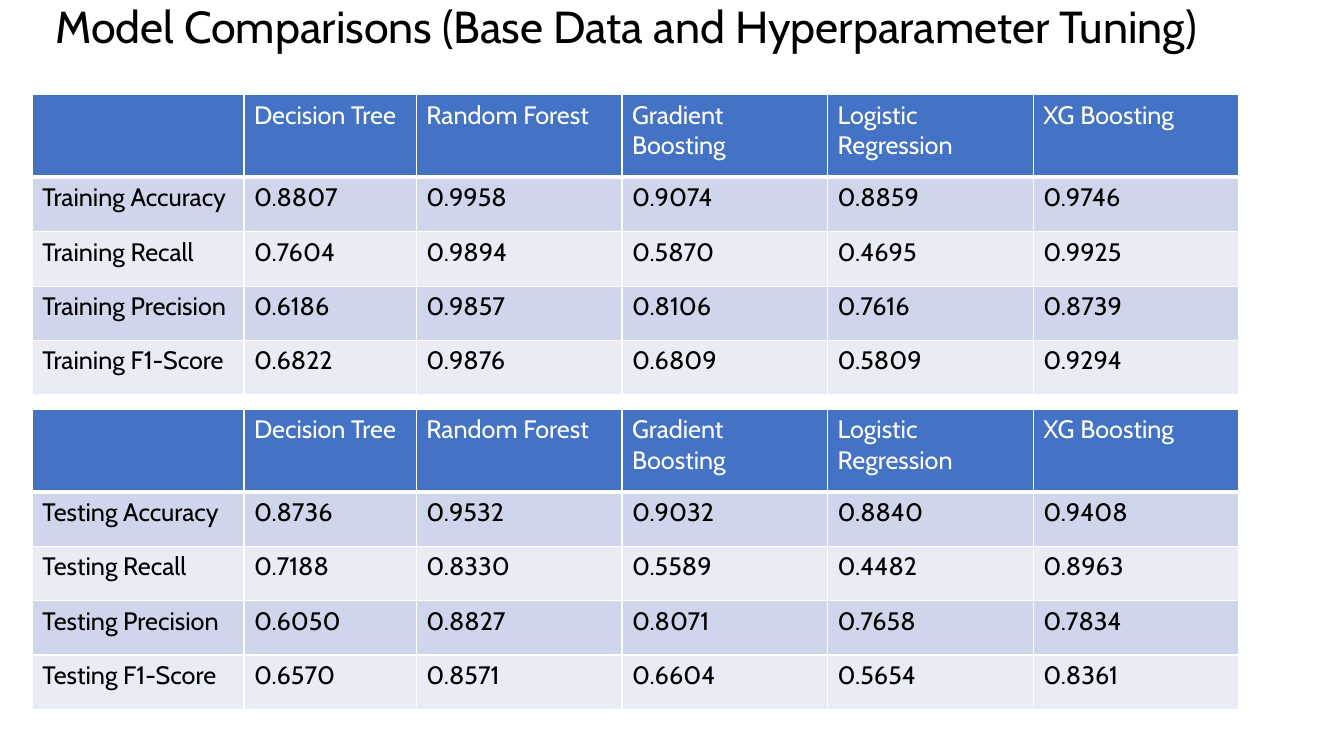
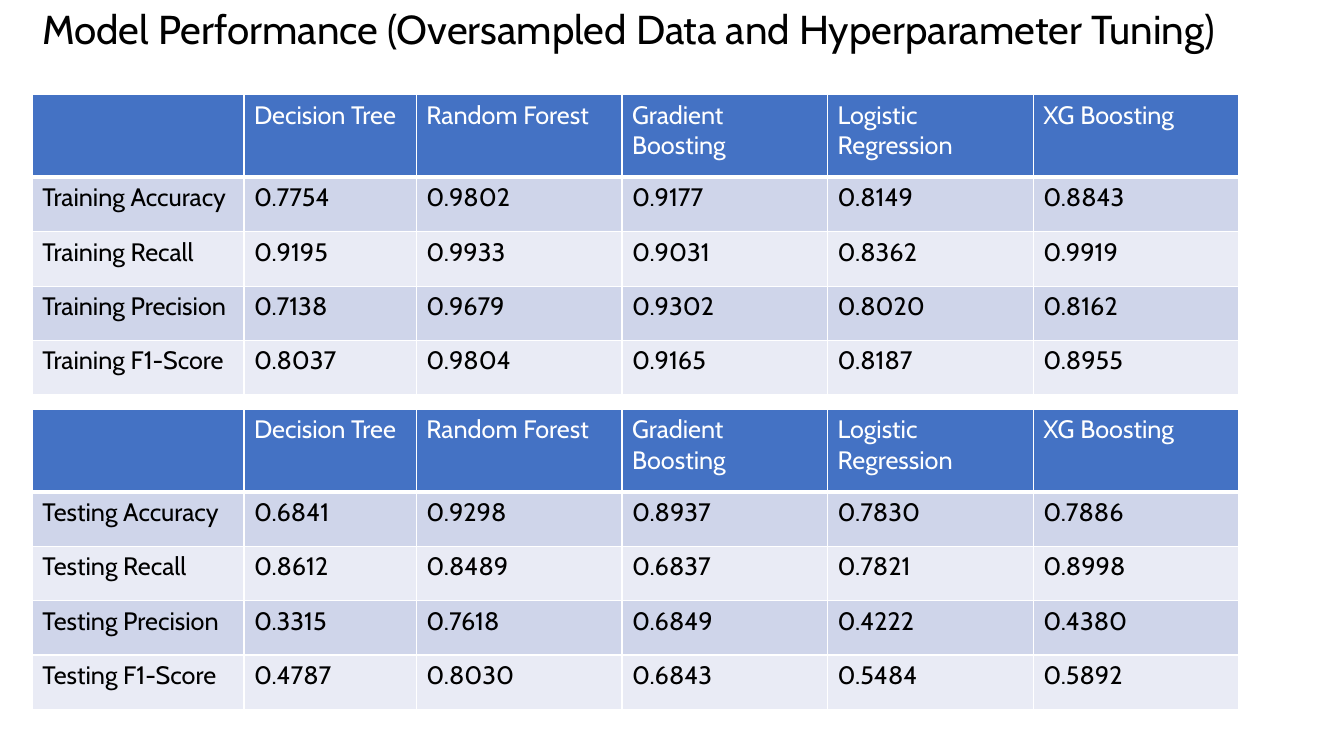
from pptx import Presentation
from pptx.dml.color import RGBColor
from pptx.enum.text import MSO_ANCHOR as Anchor
from pptx.oxml import parse_xml
from pptx.oxml.ns import nsdecls
from pptx.util import Inches, Pt

# Shared look
COLORS = {
    "header": "4472C4",
    "odd_row": "CFD5EA",
    "even_row": "E9EBF5",
    "white": "FFFFFF",
    "black": "000000",
}
FONT = "Cabin"
MODELS = ["Decision Tree", "Random Forest", "Gradient Boosting",
          "Logistic Regression", "XG Boosting"]
METRICS = ["Accuracy", "Recall", "Precision", "F1-Score"]

# Grid: one column and one row are a hundredth of the slide
presentation = Presentation()
presentation.slide_width = Inches(13.33)
presentation.slide_height = Inches(7.5)
COLUMN = presentation.slide_width / 100
ROW = presentation.slide_height / 100

TABLE_LEFT = 2.4
TABLE_TOPS = {"Training": 12.53, "Testing": 54.13}
COLUMN_WIDTHS = [15.75, 12.83] + [15.3] * 4
ROW_HEIGHTS = [10.93] + [7.2] * len(METRICS)

# Scores: one row per metric, one value per model
SLIDES = [
    {
        "title": "Model Comparisons (Base Data and Hyperparameter Tuning)",
        "size": 32, "left": 3.38, "width": 89.8, "height": 7.6,
        "Training": [
            "0.8807 0.9958 0.9074 0.8859 0.9746",
            "0.7604 0.9894 0.5870 0.4695 0.9925",
            "0.6186 0.9857 0.8106 0.7616 0.8739",
            "0.6822 0.9876 0.6809 0.5809 0.9294",
        ],
        "Testing": [
            "0.8736 0.9532 0.9032 0.8840 0.9408",
            "0.7188 0.8330 0.5589 0.4482 0.8963",
            "0.6050 0.8827 0.8071 0.7658 0.7834",
            "0.6570 0.8571 0.6604 0.5654 0.8361",
        ],
    },
    {
        "title": "Model Performance (Oversampled Data and Hyperparameter Tuning)",
        "size": 28.8, "left": 2.4, "width": 90.7, "height": 8.27,
        "Training": [
            "0.7754 0.9802 0.9177 0.8149 0.8843",
            "0.9195 0.9933 0.9031 0.8362 0.9919",
            "0.7138 0.9679 0.9302 0.8020 0.8162",
            "0.8037 0.9804 0.9165 0.8187 0.8955",
        ],
        "Testing": [
            "0.6841 0.9298 0.8937 0.7830 0.7886",
            "0.8612 0.8489 0.6837 0.7821 0.8998",
            "0.3315 0.7618 0.6849 0.4222 0.4380",
            "0.4787 0.8030 0.6843 0.5484 0.5892",
        ],
    },
]


def write_text(text_frame, text, size=18, color="black", line_spacing=None):
    paragraph = text_frame.paragraphs[0]
    paragraph.line_spacing = line_spacing
    run = paragraph.add_run()
    run.text = text
    run.font.name = FONT
    run.font.size = Pt(size)
    run.font.bold = False
    run.font.color.rgb = RGBColor.from_string(COLORS[color])


def add_borders(cell, top=1, bottom=1):
    properties = cell._tc.get_or_add_tcPr()
    for side, points in {"L": 1, "R": 1, "T": top, "B": bottom}.items():
        properties.append(parse_xml(
            f'<a:ln{side} {nsdecls("a")} w="{Pt(points)}"><a:solidFill>'
            f'<a:srgbClr val="{COLORS["white"]}"/></a:solidFill></a:ln{side}>'))


for content in SLIDES:
    slide = presentation.slides.add_slide(presentation.slide_layouts[6])

    # Title
    title = slide.shapes.add_textbox(
        int(content["left"] * COLUMN), 0,
        int(content["width"] * COLUMN), int(content["height"] * ROW))
    title.text_frame.word_wrap = True
    title.text_frame.vertical_anchor = Anchor.MIDDLE
    write_text(title.text_frame, content["title"], size=content["size"], line_spacing=0.9)

    # Training and testing tables
    for phase, top in TABLE_TOPS.items():
        rows = [["", *MODELS]]
        for metric, scores in zip(METRICS, content[phase]):
            rows.append([f"{phase} {metric}", *scores.split()])

        table = slide.shapes.add_table(
            len(rows), len(rows[0]), int(TABLE_LEFT * COLUMN), int(top * ROW),
            int(sum(COLUMN_WIDTHS) * COLUMN), int(sum(ROW_HEIGHTS) * ROW)).table
        for table_column, width in zip(table.columns, COLUMN_WIDTHS):
            table_column.width = int(width * COLUMN)
        for table_row, height in zip(table.rows, ROW_HEIGHTS):
            table_row.height = int(height * ROW)

        for row_index, row in enumerate(rows):
            is_header = row_index == 0
            fill = "header" if is_header else "odd_row" if row_index % 2 else "even_row"
            for column_index, text in enumerate(row):
                cell = table.cell(row_index, column_index)
                add_borders(cell, top=3 if row_index == 1 else 1,
                            bottom=3 if is_header else 1)
                cell.fill.solid()
                cell.fill.fore_color.rgb = RGBColor.from_string(COLORS[fill])
                if text:
                    write_text(cell.text_frame, text,
                               color="white" if is_header else "black")

presentation.save("out.pptx")
